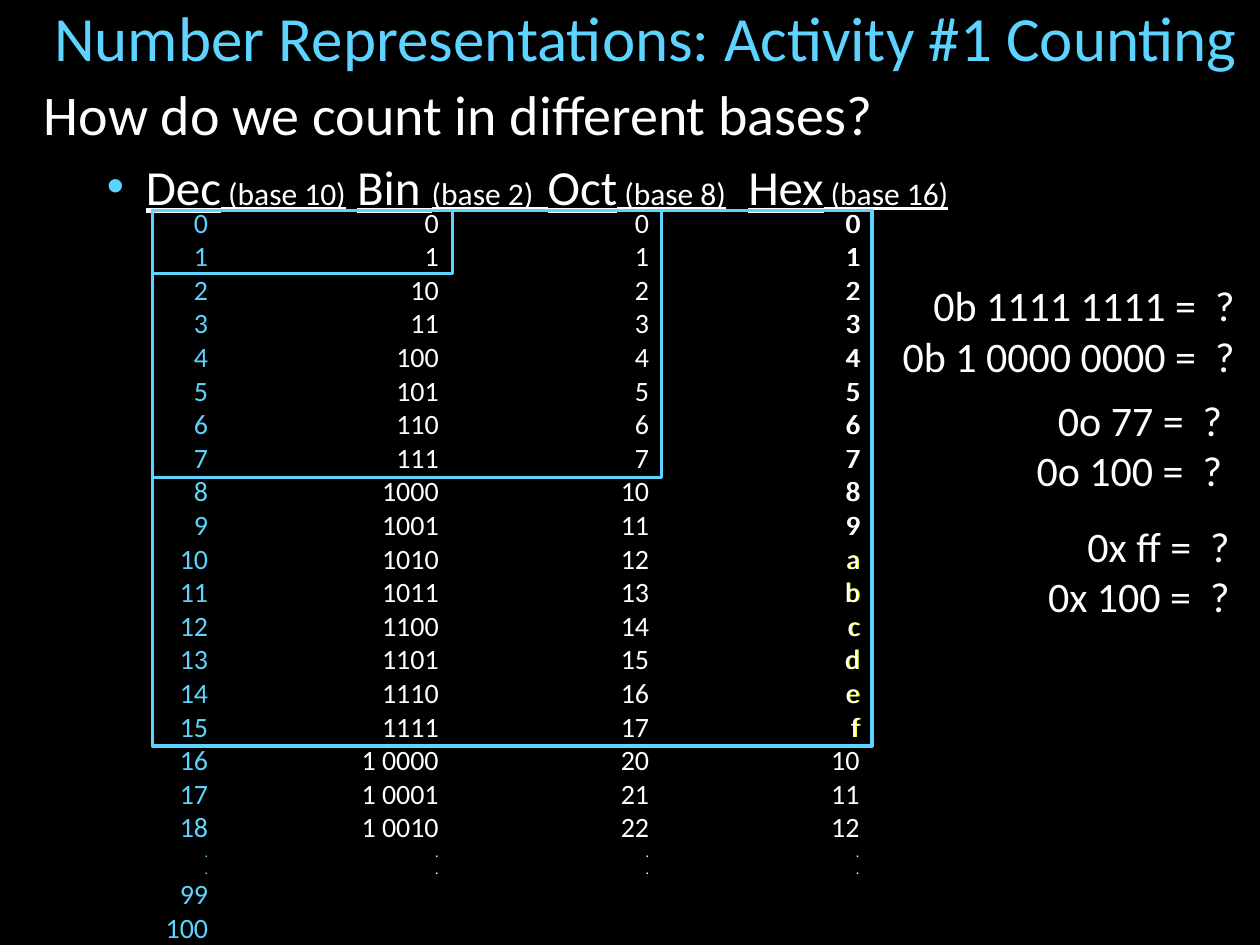
from lxml.etree import SubElement as Sub
from pptx import Presentation
from pptx.dml.color import RGBColor
from pptx.enum.shapes import MSO_SHAPE as Shape
from pptx.enum.text import MSO_ANCHOR as Anchor, PP_ALIGN as Align
from pptx.oxml.ns import qn
from pptx.util import Inches, Pt

SKY, WHITE, YELLOW = "5DD4FF", "FFFFFF", "FFFF00"
TOP = 1.58
ROWS = range(19)
DOTS = [".", "."]


def paint(part, color):
    if hasattr(part, "solid"):
        part.solid()
        part.fore_color.rgb = RGBColor.from_string(color)
    else:
        part.rgb = RGBColor.from_string(color)


def style(run, size, color=WHITE):
    run.font.name = "Calibri"
    run.font.size = Pt(size)
    paint(run.font.color, color)


def add_box(slide, box):
    frame = slide.shapes.add_textbox(*map(Inches, box)).text_frame
    frame.word_wrap = True
    return frame


def add_title(slide, box, text):
    title = slide.shapes.title
    title.left, title.top, title.width, title.height = map(Inches, box)
    frame = title.text_frame
    frame.text = text
    frame.vertical_anchor = Anchor.MIDDLE
    para = frame.paragraphs[0]
    para.alignment = Align.CENTER
    style(para.runs[0], 36, SKY)


def add_body(slide, box, text, heads):
    frame = add_box(slide, box)
    frame.text = text
    style(frame.paragraphs[0].runs[0], 32)
    para = frame.add_paragraph()
    para.level = 1
    para.space_before = Pt(5.6)
    props = para._p.get_or_add_pPr()
    props.set("marL", str(Inches(0.81)))
    props.set("indent", str(Inches(-0.31)))
    Sub(Sub(props, qn("a:buClr")), qn("a:srgbClr"), val=SKY)
    Sub(props, qn("a:buFont"), typeface="Arial")
    Sub(props, qn("a:buChar"), char="•")
    for word, size, under in heads:
        run = para.add_run()
        run.text = word
        style(run, size)
        run.font.underline = under


def add_lines(slide, box, lines, size, color=WHITE, pad=0.1):
    frame = add_box(slide, box)
    frame.margin_left = 0
    frame.margin_right = Inches(pad)
    frame.text = "\n".join(lines)
    for para in frame.paragraphs:
        para.alignment = Align.RIGHT
        for run in para.runs:
            style(run, 8 if run.text == "." else size, color)
    return frame


def add_frame(slide, box):
    rect = slide.shapes.add_shape(Shape.RECTANGLE, *map(Inches, box))
    rect.shadow.inherit = False
    rect.fill.background()
    paint(rect.line.fill, SKY)
    rect.line.width = Pt(2)


def binary(num):
    text = format(num, "b")
    return text if len(text) < 5 else text[:-4] + " " + text[-4:]


def add_counts(slide, left, top):
    digits = [format(n, "x") for n in range(16)]
    under = add_lines(slide, (left + 5.4, top, 0.32, 4.41), digits, 16)
    for para in under.paragraphs[10:]:
        paint(para.runs[0].font.color, YELLOW)
    decs = [str(n) for n in ROWS] + DOTS + ["99", "100"]
    add_lines(slide, (left, top, 0.54, 6.02), decs, 16, SKY)
    for shift, width, form in (
        (3.61, 0.43, lambda n: format(n, "o")),
        (5.28, 0.43, lambda n: format(n, "x")),
        (1.55, 0.82, binary),
    ):
        lines = [form(n) for n in ROWS] + DOTS
        add_lines(slide, (left + shift, top, width, 5.49), lines, 16)
    for width, height in ((5.71, 4.25), (4.04, 2.12), (2.38, 0.5)):
        add_frame(slide, (left, top + 0.09, width, height))


deck = Presentation()
deck.slide_width, deck.slide_height = Inches(10), Inches(7.5)
page = deck.slides.add_slide(deck.slide_layouts[5])
paint(page.background.fill, "000000")

add_title(page, (0.25, 0, 9.75, 0.58),
          "Number Representations: Activity #1 Counting")
add_body(page, (0.25, 0.58, 9.5, 6.17), "How do we count in different bases?", [
    ("Dec", 28, True), (" (base 10)", 18, True), (" ", 28, False),
    ("Bin ", 28, True), ("(base 2)  ", 18, True),
    ("Oct", 28, True), (" (base 8)", 18, True), ("  ", 28, False),
    ("Hex", 28, True), (" (base 16)", 18, True),
])
add_counts(page, 1.21, TOP)
for spot, pad, asks in (
    ((7.04, 2.17, 3.01, 0.91), 0.25, ("0b 1111 1111", "0b 1 0000 0000")),
    ((8.12, 3.08, 1.76, 0.91), 0.18, ("0o 77", "0o 100")),
    ((8.21, 4.08, 1.8, 0.91), 0.25, ("0x ff", "0x 100")),
):
    add_lines(page, spot, [ask + " =  ?" for ask in asks], 24, pad=pad)

deck.save("out.pptx")
